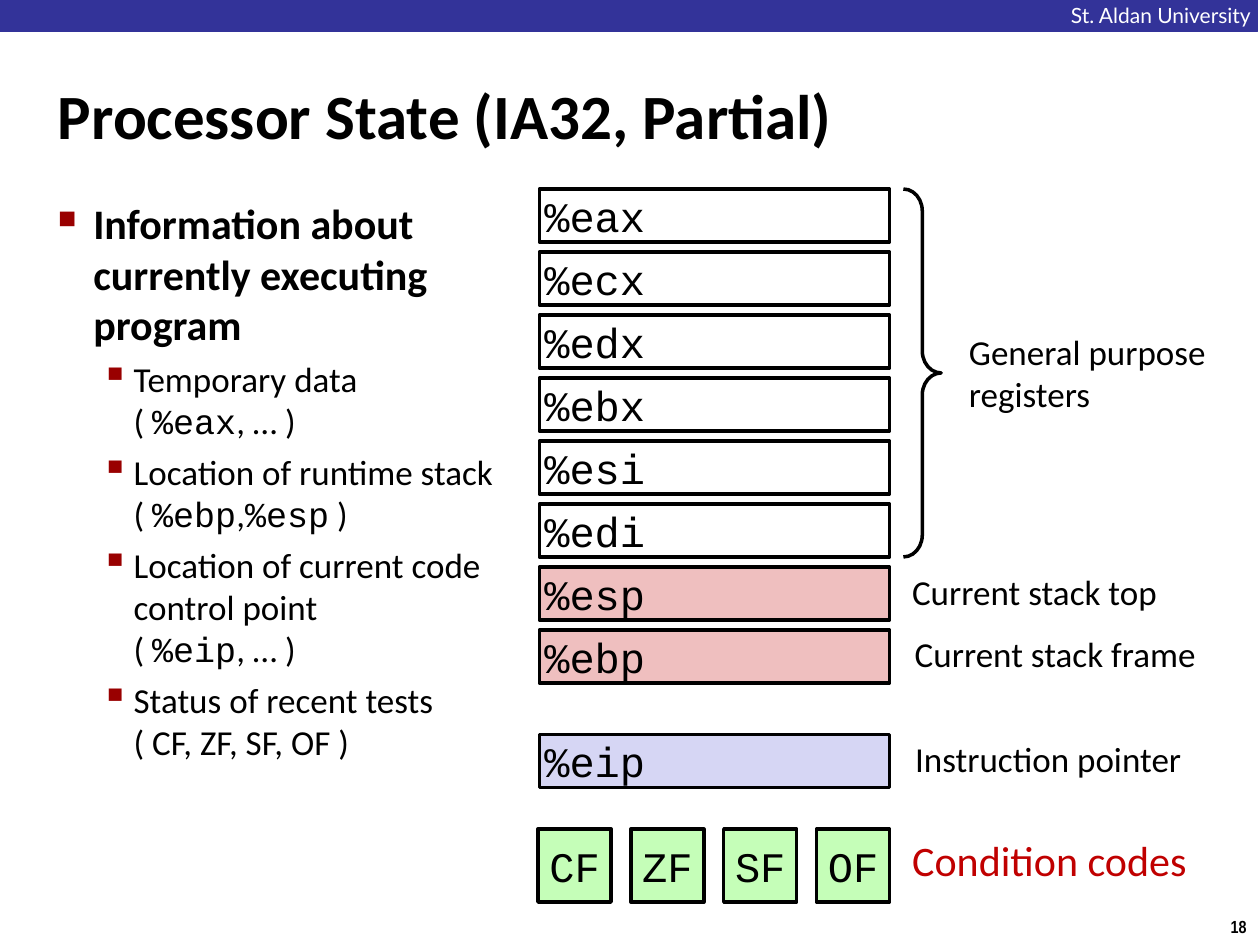
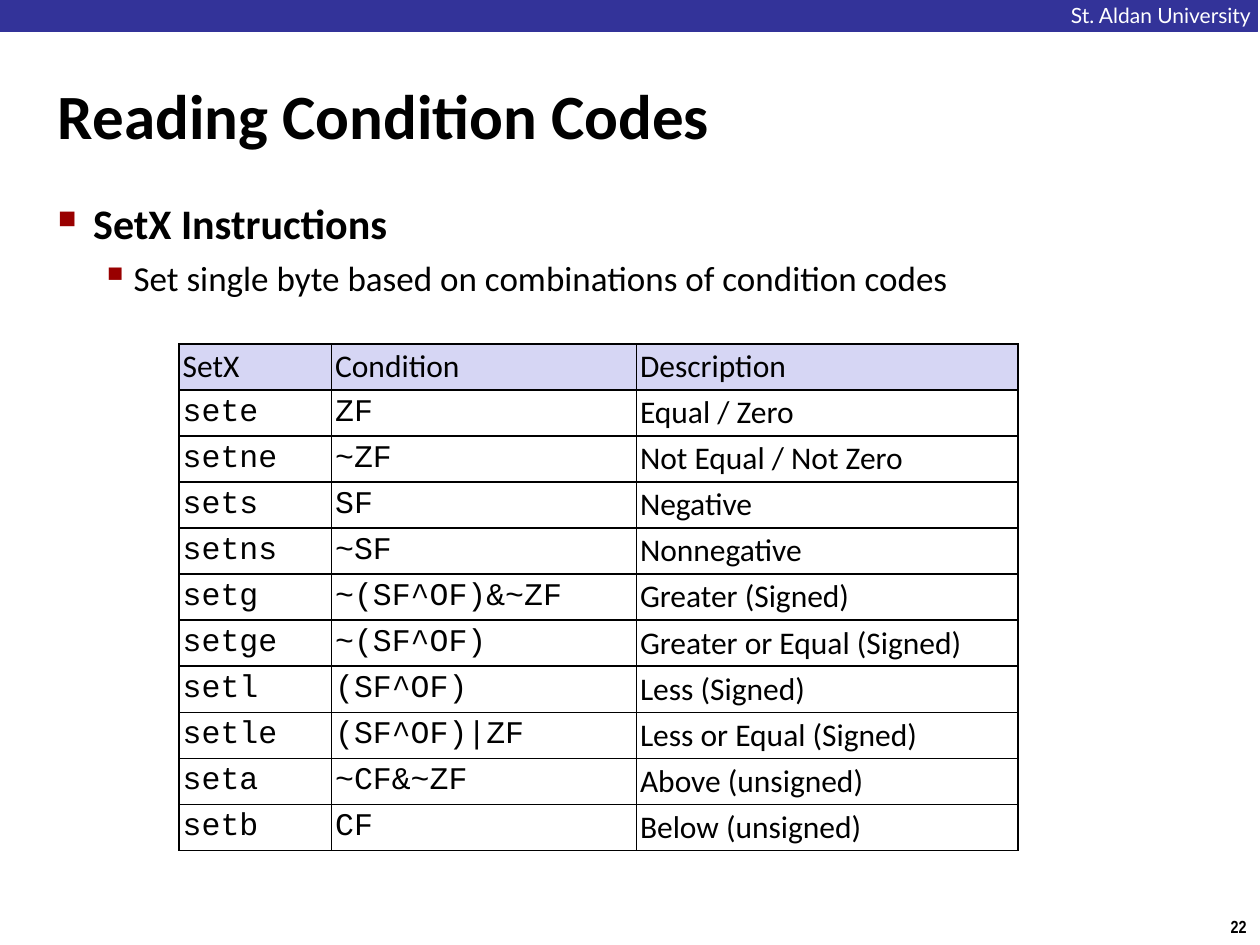
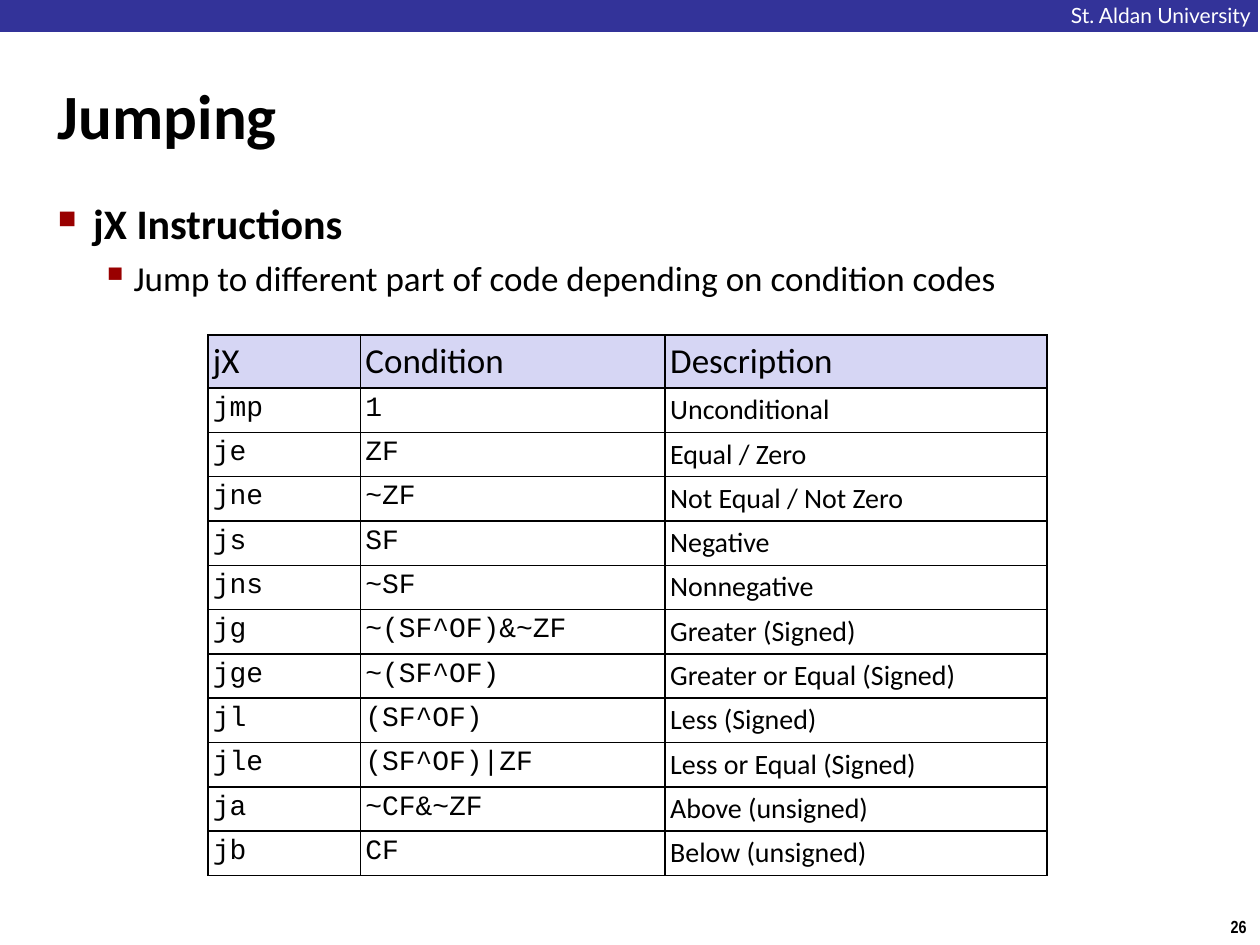
import pptx
import pptx.dml.color
import pptx.enum.shapes
import pptx.enum.text
import pptx.oxml.ns
import pptx.util
from lxml import etree
from pptx.util import Inches

SANS, MONO = "Calibri", "Courier New"
BLACK, WHITE = "000000", "FFFFFF"
NAVY, LAVENDER, ROSE, GREEN = "333399", "D6D6F4", "EFBFBF", "C5FEB8"
BULLET_RED, LABEL_RED = "990000", "C00000"
INSET = 0.04

ALIGN = pptx.enum.text.PP_ALIGN
ANCHOR = pptx.enum.text.MSO_ANCHOR
SHAPE = pptx.enum.shapes.MSO_SHAPE

# Bullet levels: character, size in percent, left margin, hanging indent,
# space before, text size, bold
LEVELS = [
    ("■", 60, 0.28, 0.28, 6, 24, True),
    ("▪", 110, 0.6, 0.26, 5, 20, False),
]

# Suffix of the instruction, condition, description
CONDITIONS = [
    ("e", "ZF", "Equal / Zero"),
    ("ne", "~ZF", "Not Equal / Not Zero"),
    ("s", "SF", "Negative"),
    ("ns", "~SF", "Nonnegative"),
    ("g", "~(SF^OF)&~ZF", "Greater (Signed)"),
    ("ge", "~(SF^OF)", "Greater or Equal (Signed)"),
    ("l", "(SF^OF)", "Less (Signed)"),
    ("le", "(SF^OF)|ZF", "Less or Equal (Signed)"),
    ("a", "~CF&~ZF", "Above (unsigned)"),
    ("b", "CF", "Below (unsigned)"),
]


def rgb(color):
    return pptx.dml.color.RGBColor.from_string(color)


def add_xml(parent, tag, **attributes):
    return etree.SubElement(parent, pptx.oxml.ns.qn(tag), attributes)


# Text
def write(para, text, size=20, font=SANS, color=BLACK, bold=False, align=ALIGN.LEFT):
    """Write text into a paragraph; parts between backticks are code."""
    para.alignment = align
    for part, piece in enumerate(text.split("`")):
        for row, line in enumerate(piece.split("\n")):
            if row:
                para.add_line_break()
            if line:
                span = para.add_run()
                span.text = line
                span.font.size = pptx.util.Pt(size)
                span.font.name = MONO if part % 2 else font
                span.font.bold = bold
                span.font.color.rgb = rgb(color)


def set_frame(frame, inset=INSET, anchor=ANCHOR.TOP, wrap=True):
    frame.auto_size = pptx.enum.text.MSO_AUTO_SIZE.NONE
    frame.word_wrap = wrap
    frame.vertical_anchor = anchor
    frame.margin_left = frame.margin_right = Inches(inset)
    frame.margin_top = frame.margin_bottom = Inches(inset)
    return frame


def add_label(page, box, text, inset=INSET, wrap=False, **style):
    label = page.shapes.add_textbox(*map(Inches, box))
    frame = set_frame(label.text_frame, inset, wrap=wrap)
    for row, line in enumerate(text.split("\n")):
        para = frame.add_paragraph() if row else frame.paragraphs[0]
        write(para, line, **style)


def add_bullets(page, box, items):
    body = page.shapes.add_textbox(*map(Inches, box))
    frame = set_frame(body.text_frame)
    for number, (level, text) in enumerate(items):
        char, percent, margin, hanging, before, size, bold = LEVELS[level]
        para = frame.add_paragraph() if number else frame.paragraphs[0]
        para.level = level
        para.space_before = pptx.util.Pt(before)
        write(para, text, size=size, bold=bold)
        properties = para._p.get_or_add_pPr()
        properties.set("marL", str(Inches(margin)))
        properties.set("indent", str(-Inches(hanging)))
        add_xml(add_xml(properties, "a:buClr"), "a:srgbClr", val=BULLET_RED)
        add_xml(properties, "a:buSzPct", val=str(percent * 1000))
        add_xml(properties, "a:buChar", char=char)


# Shapes
def add_shape(page, kind, box, fill=None, line=BLACK, width=2):
    shape = page.shapes.add_shape(kind, *map(Inches, box))
    shape.shadow.inherit = False
    if fill:
        shape.fill.solid()
        shape.fill.fore_color.rgb = rgb(fill)
    else:
        shape.fill.background()
    shape.line.color.rgb = rgb(line)
    shape.line.width = pptx.util.Pt(width)
    return shape


def add_cell_box(page, box, text, fill, align=ALIGN.LEFT):
    shape = add_shape(page, SHAPE.RECTANGLE, box, fill)
    frame = set_frame(shape.text_frame, anchor=ANCHOR.MIDDLE)
    write(frame.paragraphs[0], text, size=24, font=MONO, align=align)


# Parts shared by all slides
def add_page(deck, title, number):
    page = deck.slides.add_slide(deck.slide_layouts[5])
    add_shape(page, SHAPE.RECTANGLE, (-0.03, 0, 10.01, 0.25), NAVY, NAVY, 0.75)
    name = add_shape(page, SHAPE.RECTANGLE, (8.5, 0.02, 1.44, 0.19), NAVY, NAVY)
    frame = set_frame(name.text_frame, 0, wrap=False)
    write(frame.paragraphs[0], "St. Aldan University", size=12, font="Lato", color=WHITE)

    heading = page.shapes.title
    heading.left, heading.top = Inches(0.42), Inches(0.28)
    heading.width, heading.height = Inches(9.17), Inches(1.25)
    frame = set_frame(heading.text_frame, anchor=ANCHOR.MIDDLE)
    write(frame.paragraphs[0], title, size=36, bold=True)

    add_label(page, (9.66, 7.22, 0.34, 0.27), str(number), inset=0.05,
              size=10, font="Arial Narrow", bold=True, align=ALIGN.CENTER)
    return page


# Register diagram
def add_registers(page, left, top, width):
    pitch, height = 0.5, 0.42
    general = ["eax", "ecx", "edx", "ebx", "esi", "edi"]
    stack = ["esp", "ebp"]
    for row, register in enumerate(general + stack):
        fill = ROSE if register in stack else WHITE
        add_cell_box(page, (left, top + row * pitch, width, height), "%" + register, fill)
    add_cell_box(page, (left, top + 4.33, width, height), "%eip", LAVENDER)

    right = left + width
    span = (len(general) - 1) * pitch + height
    brace = add_shape(page, SHAPE.RIGHT_BRACE, (right + 0.11, top, 0.3, span))
    brace.adjustments[0] = 0.58

    add_label(page, (right + 0.59, top + 1.08, 2.01, 0.75), "General purpose\nregisters")
    for x, y, label_width, text in [
        (0.11, 2.99, 2.08, "Current stack top"),
        (0.13, 3.48, 2.37, "Current stack frame"),
        (0.13, 4.31, 2.26, "Instruction pointer"),
    ]:
        add_label(page, (right + x, top + y, label_width, 0.42), text, align=ALIGN.CENTER)


def add_condition_codes(page, left, top, width):
    side = 0.58
    codes = ["CF", "ZF", "SF", "OF"]
    pitch = (width - side) / (len(codes) - 1)
    for column, code in enumerate(codes):
        box = (left + column * pitch, top, side, side)
        add_cell_box(page, box, code, GREEN, ALIGN.CENTER)
    add_label(page, (left + width + 0.14, top, 2.9, 0.49), "Condition codes",
              wrap=True, size=24, color=LABEL_RED)


# Tables of conditions
def format_cell(cell, inset, anchor, fill):
    cell.margin_left = cell.margin_right = Inches(inset)
    cell.margin_top = cell.margin_bottom = Inches(inset)
    cell.vertical_anchor = anchor
    properties = cell._tc.get_or_add_tcPr()
    for side in ("a:lnL", "a:lnR", "a:lnT", "a:lnB"):
        border = add_xml(properties, side, w=str(pptx.util.Pt(1)))
        add_xml(add_xml(border, "a:solidFill"), "a:srgbClr", val=BLACK)
    cell.fill.solid()
    cell.fill.fore_color.rgb = rgb(fill)


def add_condition_table(page, left, top, rows, header_height, header_size, size, inset, anchor):
    widths, row_height = (1.21, 2.42, 3.03), 0.34
    height = header_height + row_height * (len(rows) - 1)
    box = (left, top, sum(widths), height)
    table = page.shapes.add_table(len(rows), len(widths), *map(Inches, box)).table
    table.first_row = table.horz_banding = False
    for column, width in zip(table.columns, widths):
        column.width = Inches(width)
    for y, texts in enumerate(rows):
        table.rows[y].height = Inches(row_height if y else header_height)
        for x, text in enumerate(texts):
            cell = table.cell(y, x)
            format_cell(cell, inset, anchor, WHITE if y else LAVENDER)
            write(cell.text_frame.paragraphs[0], text,
                  size=size if y else header_size,
                  font=MONO if y and x < 2 else SANS)


def condition_rows(prefix, heading, extra=()):
    header = (heading, "Condition", "Description")
    return [header] + [(prefix + suffix, *rest) for suffix, *rest in [*extra, *CONDITIONS]]


# Slides
def build_processor_state(deck):
    page = add_page(deck, "Processor State (IA32, Partial)", 18)
    add_bullets(page, (0.42, 1.53, 3.65, 5.94), [
        (0, "Information about currently executing program"),
        (1, "Temporary data\n( `%eax`, … )"),
        (1, "Location of runtime stack\n( `%ebp`,`%esp` )"),
        (1, "Location of current code control point\n( `%eip`, … )"),
        (1, "Status of recent tests\n( CF, ZF, SF, OF )"),
    ])
    add_registers(page, 4.28, 1.5, 2.78)
    add_condition_codes(page, 4.27, 6.58, 2.79)


def build_reading_codes(deck):
    page = add_page(deck, "Reading Condition Codes", 22)
    add_bullets(page, (0.42, 1.53, 9.17, 5.94), [
        (0, "SetX Instructions"),
        (1, "Set single byte based on combinations of condition codes"),
    ])
    add_condition_table(page, 1.42, 2.73, condition_rows("set", "SetX"),
                        header_height=0.34, header_size=18, size=18,
                        inset=0.03, anchor=ANCHOR.MIDDLE)


def build_jumping(deck):
    page = add_page(deck, "Jumping", 26)
    add_bullets(page, (0.42, 1.53, 9.17, 0.94), [
        (0, "jX Instructions"),
        (1, "Jump to different part of code depending on condition codes"),
    ])
    rows = condition_rows("j", "jX", [("mp", "1", "Unconditional")])
    add_condition_table(page, 1.65, 2.66, rows,
                        header_height=0.41, header_size=20, size=16,
                        inset=INSET, anchor=ANCHOR.TOP)


def main():
    deck = pptx.Presentation()
    deck.slide_width, deck.slide_height = Inches(10), Inches(7.5)
    build_processor_state(deck)
    build_reading_codes(deck)
    build_jumping(deck)
    deck.save("out.pptx")


if __name__ == "__main__":
    main()
